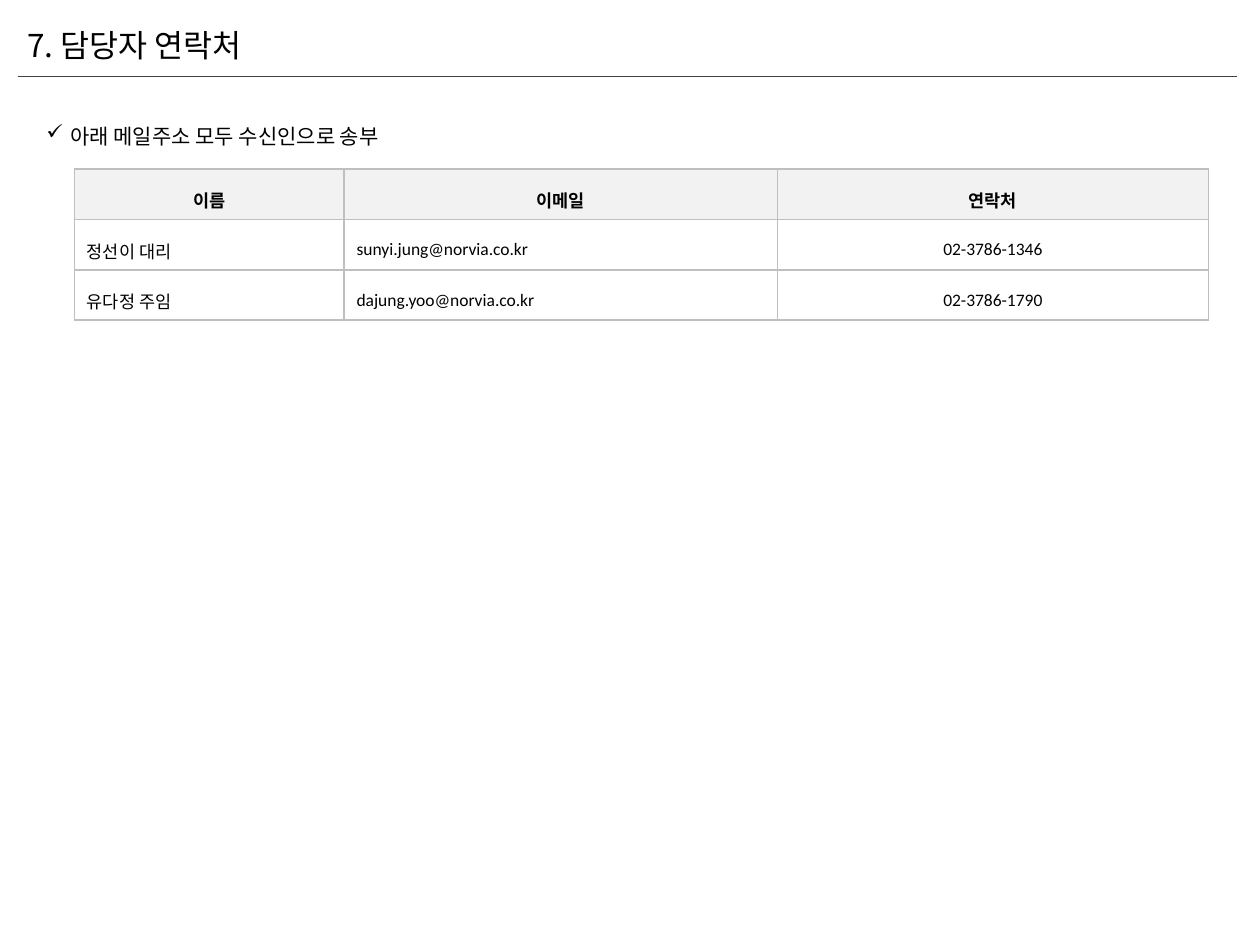
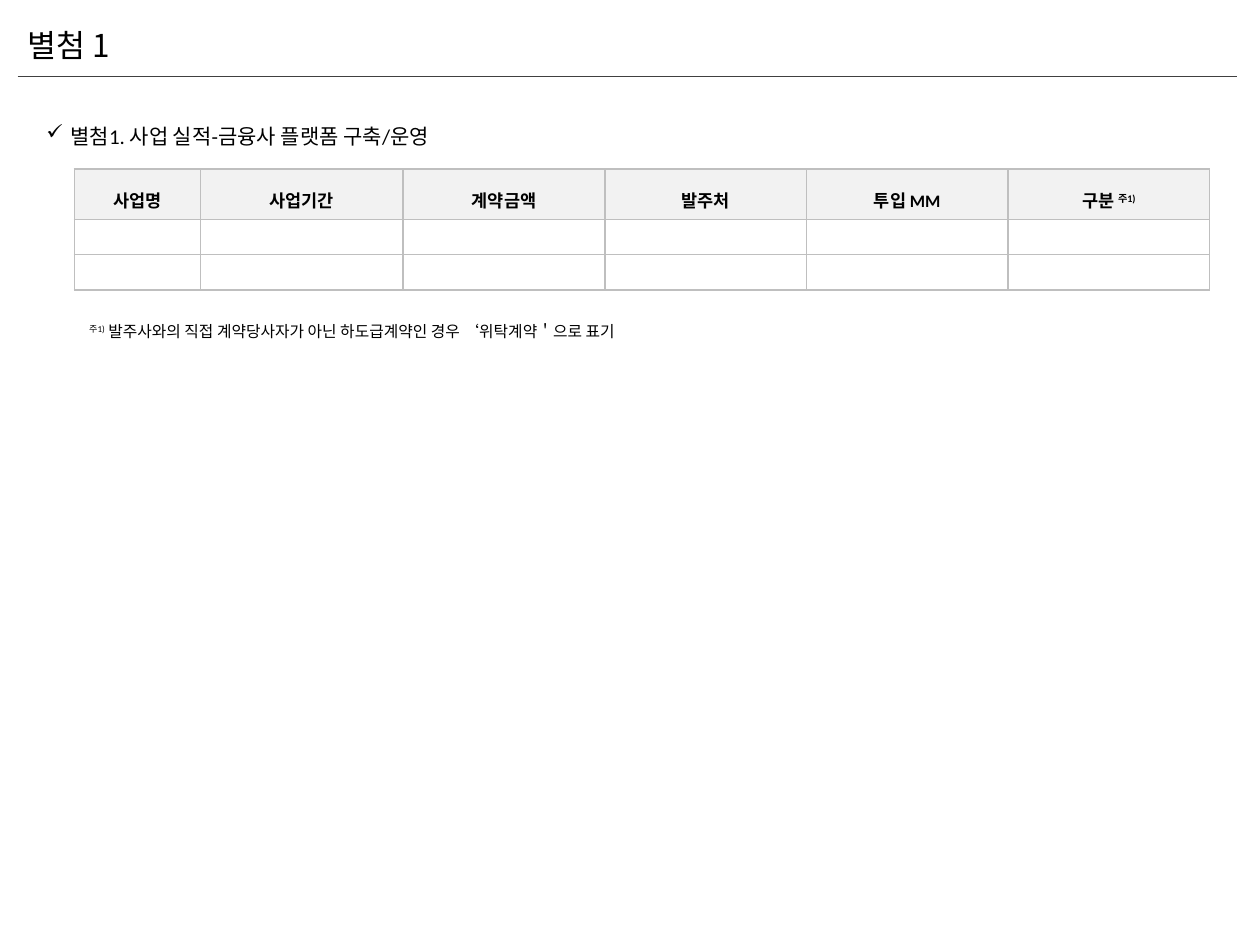
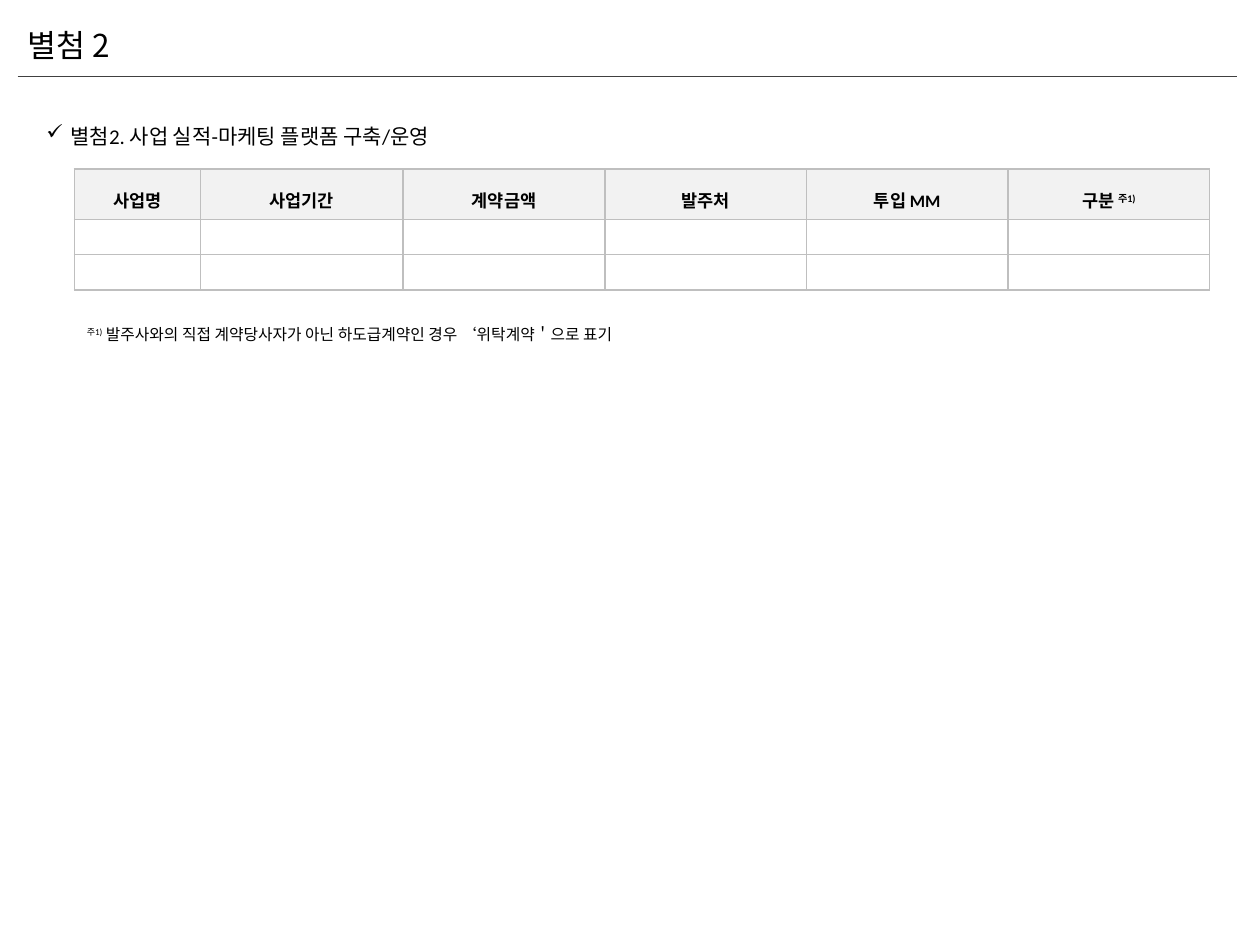
from dataclasses import dataclass
from typing import NamedTuple

from lxml.etree import SubElement
from pptx import Presentation
from pptx.dml.color import RGBColor
from pptx.enum.shapes import MSO_CONNECTOR
from pptx.enum.text import MSO_ANCHOR, MSO_AUTO_SIZE, PP_ALIGN
from pptx.oxml.ns import qn
from pptx.util import Inches, Pt


@dataclass(frozen=True)
class Theme:
    ink: str = "000000"
    rule: str = "404040"
    edge: str = "BFBFBF"
    head: str = "F2F2F2"
    body: str = "Calibri"
    hangul: str = "Noto Sans CJK KR"
    title: int = 18
    lead: int = 12
    cell: int = 10
    note: int = 9
    space: float = 1.5


class Box(NamedTuple):
    left: float
    top: float
    width: float
    height: float


THEME = Theme()
WIDE, HIGH = Inches(10), Inches(7.5)
COL, ROW = WIDE / 100, HIGH / 75
TITLE = Box(1.2, 1.6, 32.3, 7.1)
RULE = Box(1.4, 6.1, 96.8, 0)
TABLE = Box(5.9, 13.4, 90, 8.7)
HEAD_ROW, BODY_ROW = 3.1, 2.8
INDENT = 1.9
MARK = "주1)"
NOTE = "발주사와의 직접 계약당사자가 아닌 하도급계약인 경우 ‘위탁계약＇으로 표기"

PEOPLE = [
    ["이름", "이메일", "연락처"],
    ["정선이 대리", "sunyi.jung@norvia.co.kr", "02-3786-1346"],
    ["유다정 주임", "dajung.yoo@norvia.co.kr", "02-3786-1790"],
]
PEOPLE_COLS = [21.4, 34.4, 34.2]
WORKS = [
    ["사업명", "사업기간", "계약금액", "발주처", "투입 MM", "구분 " + MARK],
    [""] * 6,
    [""] * 6,
]
WORKS_COLS = [10, 16.1] + [16] * 4


def place(box):
    return (round(box.left * COL), round(box.top * ROW),
            round(box.width * COL), round(box.height * ROW))


def style(run, size, face=THEME.body, bold=False):
    font = run.font
    font.size, font.name, font.bold = Pt(size), face, bold
    font.color.rgb = RGBColor.from_string(THEME.ink)
    SubElement(font._element, qn("a:ea"), typeface=THEME.hangul)


def write(para, text, size, face=THEME.body, bold=False):
    before, mark, after = text.partition(MARK)
    para.text = before
    if mark:
        for part in filter(None, (mark, after)):
            para.add_run().text = part
    for run in para.runs:
        style(run, size, face, bold)
        if run.text == MARK:
            run.font._element.set("baseline", "30000")


def label(slide, box, text, size, face=THEME.body, space=THEME.space):
    frame = slide.shapes.add_textbox(*place(box)).text_frame
    frame.word_wrap = True
    frame.auto_size = MSO_AUTO_SIZE.SHAPE_TO_FIT_TEXT
    para = frame.paragraphs[0]
    para.line_spacing = space
    write(para, text, size, face)
    return para


def header(slide, title):
    x, y, w, h = place(RULE)
    line = slide.shapes.add_connector(MSO_CONNECTOR.STRAIGHT, x, y, x + w, y + h)
    line.line.color.rgb = RGBColor.from_string(THEME.rule)
    line.line.width = Pt(0.5)
    SubElement(line._element.spPr, qn("a:effectLst"))
    label(slide, TITLE, title, THEME.title, THEME.hangul, 1.0)


def lead(slide, box, text):
    para = label(slide, box, text, THEME.lead)
    props = para._p.get_or_add_pPr()
    step = round(INDENT * COL)
    props.set("marL", str(step))
    props.set("indent", str(-step))
    SubElement(props, qn("a:buChar"), char="✓")


def border(cell):
    props = cell._tc.get_or_add_tcPr()
    for side in ("lnL", "lnR", "lnT", "lnB"):
        line = SubElement(props, qn("a:" + side), w=str(Pt(1)))
        fill = SubElement(line, qn("a:solidFill"))
        SubElement(fill, qn("a:srgbClr"), val=THEME.edge)


def fill_cell(cell, text, first, center):
    border(cell)
    cell.vertical_anchor = MSO_ANCHOR.MIDDLE
    if first:
        cell.fill.solid()
        cell.fill.fore_color.rgb = RGBColor.from_string(THEME.head)
    else:
        cell.fill.background()
    para = cell.text_frame.paragraphs[0]
    if not text:
        para._p.get_or_add_endParaRPr().set("sz", str(THEME.cell * 100))
        return
    para.line_spacing = THEME.space
    para.alignment = PP_ALIGN.CENTER if center else PP_ALIGN.LEFT
    write(para, text, THEME.cell, bold=first)


def grid(slide, box, rows, cols):
    table = slide.shapes.add_table(len(rows), len(cols), *place(box)).table
    table.first_row = table.horz_banding = False
    for col, width in zip(table.columns, cols):
        col.width = round(width * COL)
    last = len(cols) - 1
    for r, texts in enumerate(rows):
        table.rows[r].height = round((BODY_ROW if r else HEAD_ROW) * ROW)
        for c, text in enumerate(texts):
            fill_cell(table.cell(r, c), text, r == 0, r == 0 or c == last)


def page(deck, title, text, rows, cols, lead_high=3.7):
    slide = deck.slides.add_slide(deck.slide_layouts[6])
    grid(slide, TABLE, rows, cols)
    lead(slide, Box(2.7, 8.3, 51.1, lead_high), text)
    header(slide, title)
    return slide


def annex(deck, title, text, left, top, lead_high=3.7):
    slide = page(deck, title, text, WORKS, WORKS_COLS, lead_high)
    label(slide, Box(left, top, 51.1, 3), f"{MARK} {NOTE}", THEME.note)


def main():
    deck = Presentation()
    deck.slide_width, deck.slide_height = WIDE, HIGH
    page(deck, "7. 담당자 연락처", "아래 메일주소 모두 수신인으로 송부", PEOPLE, PEOPLE_COLS)
    annex(deck, "별첨 1", "별첨1. 사업 실적-금융사 플랫폼 구축/운영", 6.1, 24.3, 4)
    annex(deck, "별첨 2", "별첨2. 사업 실적-마케팅 플랫폼 구축/운영", 5.9, 24.5)
    deck.save("out.pptx")


if __name__ == "__main__":
    main()
